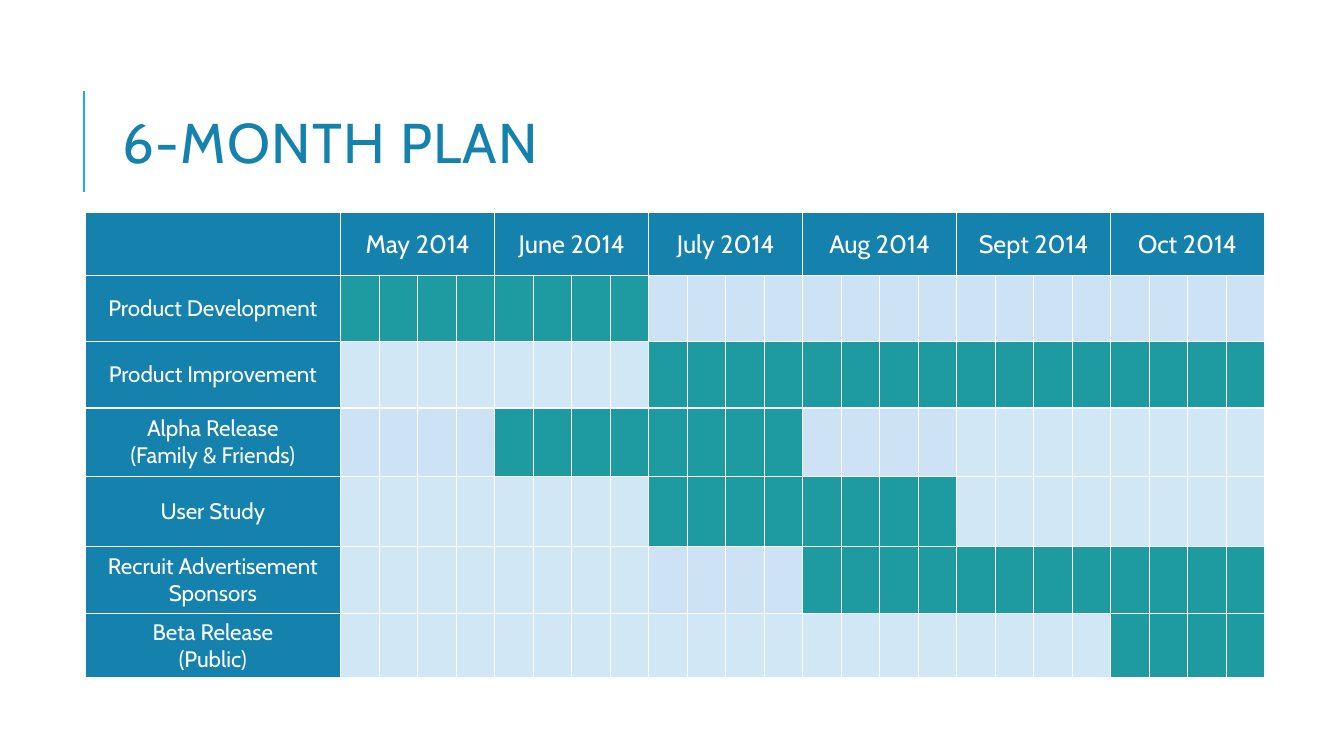
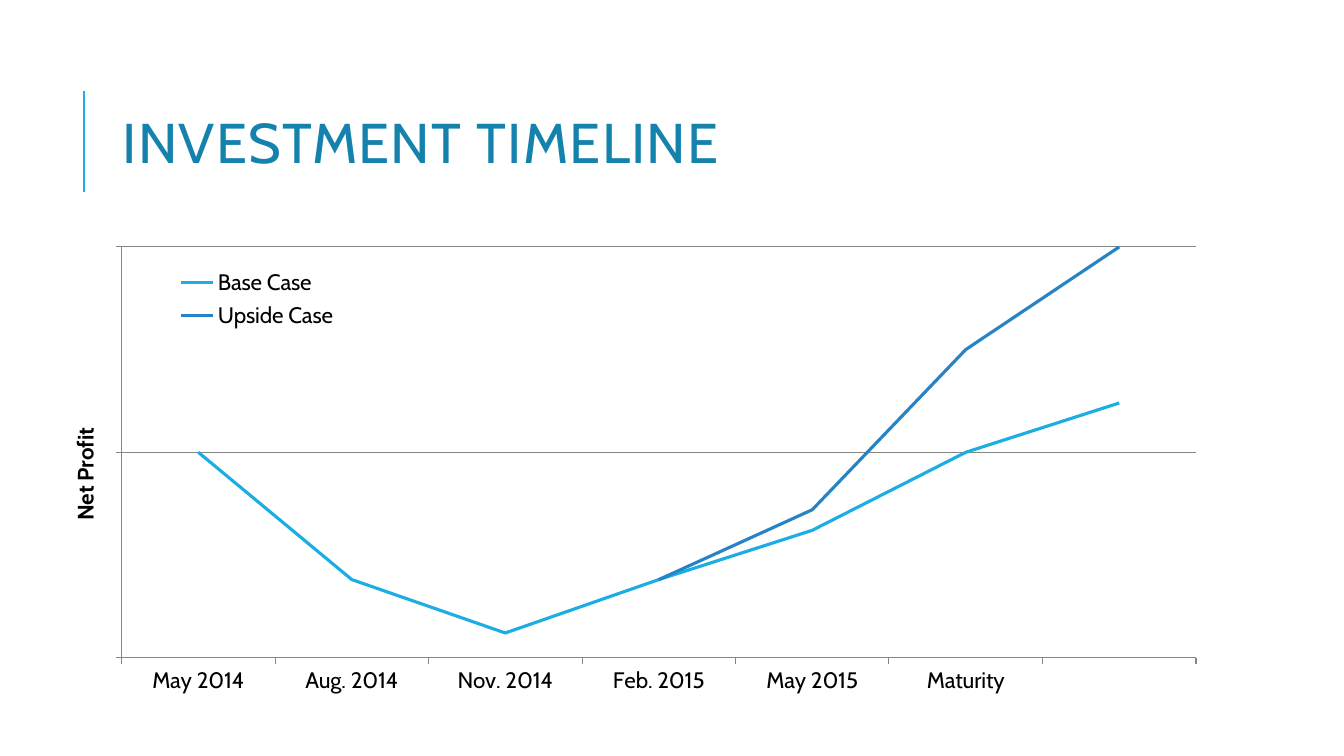
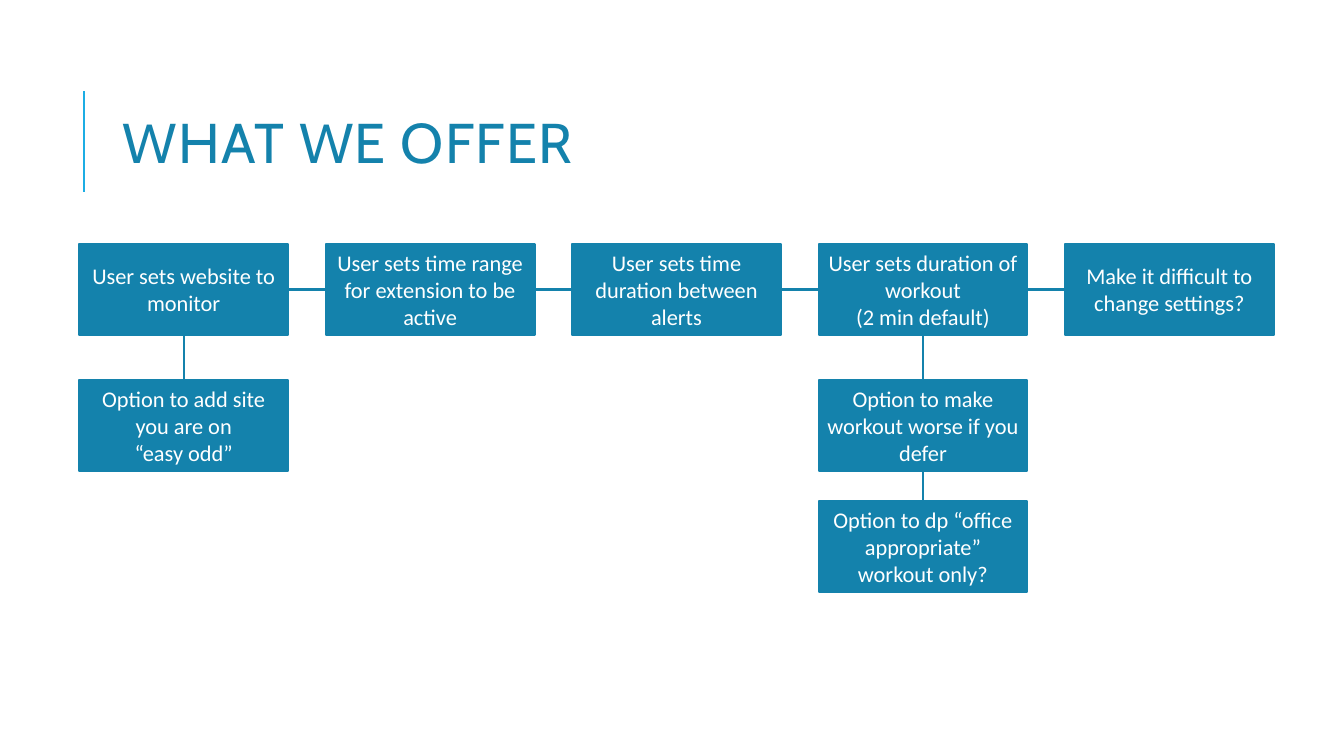
from dataclasses import dataclass
from itertools import pairwise

from lxml.etree import SubElement
from pptx import Presentation
from pptx.chart.data import CategoryChartData
from pptx.dml.color import RGBColor
from pptx.enum.chart import XL_CHART_TYPE as ChartType
from pptx.enum.chart import XL_LEGEND_POSITION as LegendPosition
from pptx.enum.chart import XL_TICK_LABEL_POSITION as LabelPosition
from pptx.enum.chart import XL_TICK_MARK as TickMark
from pptx.enum.shapes import MSO_CONNECTOR as Connector
from pptx.enum.shapes import MSO_SHAPE as Shape
from pptx.enum.text import MSO_ANCHOR as Anchor
from pptx.enum.text import PP_ALIGN as Align
from pptx.oxml.ns import qn
from pptx.util import Cm, Pt


@dataclass(frozen=True)
class Theme:
    """Colours, fonts and type sizes of the deck."""
    main: str = "1482AC"
    accent: str = "1CADE4"
    upside: str = "2683C6"
    busy: str = "1D9BA1"
    shade: str = "CDE3F5"
    light: str = "D1E7F6"
    grid: str = "868686"
    white: str = "FFFFFF"
    black: str = "000000"
    display: str = "Cabin"
    body: str = "Calibri"
    title_size: int = 40
    head_size: int = 18
    text_size: int = 16
    rule: float = 1.5
    border: float = 1


@dataclass(frozen=True)
class Box:
    """A region of a slide, in centimetres."""
    left: float
    top: float
    width: float
    height: float

    def lengths(self):
        """Return the four sides as lengths."""
        return Cm(self.left), Cm(self.top), Cm(self.width), Cm(self.height)


THEME = Theme()
TITLE_BOX = Box(2.84, 1.63, 30.1, 4.17)
PLAN_BOX = Box(2.14, 5.36, 29.74, 11.86)
CHART_BOX = Box(1.37, 5.79, 29.21, 13.97)
FLOW_BOX = Box(2, 6.15, 30.1, 8.76)

MONTHS = ["May 2014", "June 2014", "July 2014", "Aug 2014", "Sept 2014", "Oct 2014"]
WEEKS = 4
MONTH_FILLS = {"X": THEME.busy, "S": THEME.shade, "L": THEME.light}
TASKS = [
    ("Product Development", "XXSSSS"),
    ("Product Improvement", "LLXXXX"),
    ("Alpha Release\v(Family & Friends)", "SXXSLL"),
    ("User Study", "LLXXLL"),
    ("Recruit Advertisement Sponsors", "LLSXXX"),
    ("Beta Release\v(Public)", "LLLLLX"),
]
LABEL_WIDTH = 6.45
PLAN_ROWS = [1.58, 1.67, 1.67, 1.73, 1.76, 1.69, 1.55]

DATES = ["May 2014", "Aug. 2014", "Nov. 2014", "Feb. 2015", "May 2015", "Maturity", ""]
CASES = [
    ("Base Case", [50, 19, 6, 19, 31, 50, 62], THEME.accent),
    ("Upside Case", [None, None, None, 19, 36, 75, 100], THEME.upside),
]

FLOW_COLUMNS = [
    ["User sets website to monitor", "Option to add site you are on\n“easy odd”"],
    ["User sets time range for extension to be active"],
    ["User sets time duration between alerts"],
    ["User sets duration of workout\n(2 min default)",
     "Option to make workout worse if you defer",
     "Option to dp “office appropriate” workout only?"],
    ["Make it difficult to change settings?"],
]
STEP_WIDTH, STEP_HEIGHT = 5.26, 2.29
STEP_TOPS = [0, 3.43, 6.47]
TOP_SITE, LEFT_SITE, BOTTOM_SITE, RIGHT_SITE = range(4)


def rgb(code):
    """Turn a hex code into a colour."""
    return RGBColor.from_string(code)


def set_font(font, name, size, color, bold=None):
    """Set the face, size and colour of a font."""
    font.name, font.size, font.bold = name, Pt(size), bold
    font.color.rgb = rgb(color)


def set_line(line, color, width):
    """Set a solid line."""
    line.color.rgb = rgb(color)
    line.width = Pt(width)


def write_centred(frame, text, name, size):
    """Fill a text frame with centred white paragraphs."""
    frame.text = text
    for para in frame.paragraphs:
        para.alignment = Align.CENTER
        set_font(para.font, name, size, THEME.white)


def add_rule(page, color, ends=(0, 0, 0, 0)):
    """Add a straight line without a shadow."""
    rule = page.shapes.add_connector(Connector.STRAIGHT, *map(Cm, ends))
    set_line(rule.line, color, THEME.rule)
    SubElement(rule._element.spPr, qn("a:effectLst"))
    return rule


def add_title(page, box, text):
    """Add the title and the upright rule beside it."""
    rule_left = box.left - 0.73
    add_rule(page, THEME.accent,
             (rule_left, box.top + 3.2, rule_left, box.top + 0.66))
    frame = page.shapes.add_textbox(*box.lengths()).text_frame
    frame.word_wrap = True
    frame.vertical_anchor = Anchor.MIDDLE
    para = frame.paragraphs[0]
    para.line_spacing = 0.8
    set_font(para.font, THEME.display, THEME.title_size, THEME.main)
    span = para.add_run()
    span.text = text
    span._r.get_or_add_rPr().set("spc", "100")


def style_cell(cell, fill):
    """Give a table cell white borders and a fill."""
    cell.vertical_anchor = Anchor.MIDDLE
    properties = cell._tc.get_or_add_tcPr()
    for side in ("lnL", "lnR", "lnT", "lnB"):
        line = SubElement(properties, qn(f"a:{side}"), w=str(Pt(THEME.border)))
        solid = SubElement(line, qn("a:solidFill"))
        SubElement(solid, qn("a:srgbClr"), val=THEME.white)
    cell.fill.solid()
    cell.fill.fore_color.rgb = rgb(fill)


def add_plan(page, box):
    """Add the table of tasks by week."""
    week_count = len(MONTHS) * WEEKS
    table = page.shapes.add_table(len(TASKS) + 1, week_count + 1, *box.lengths()).table
    table.first_row = table.horz_banding = False
    for index, column in enumerate(table.columns):
        week_width = (box.width - LABEL_WIDTH) / week_count
        column.width = Cm(week_width if index else LABEL_WIDTH)
    for row, height in zip(table.rows, PLAN_ROWS):
        row.height = Cm(height)

    fill_rows = [[THEME.main] * len(MONTHS)]
    fill_rows += [[MONTH_FILLS[key] for key in keys] for _, keys in TASKS]
    for row, fills in enumerate(fill_rows):
        style_cell(table.cell(row, 0), THEME.main)
        for week in range(week_count):
            style_cell(table.cell(row, week + 1), fills[week // WEEKS])

    for index, month in enumerate(MONTHS):
        first = index * WEEKS + 1
        head = table.cell(0, first)
        head.merge(table.cell(0, first + WEEKS - 1))
        write_centred(head.text_frame, month, THEME.display, THEME.head_size)
    for row, (task, _) in enumerate(TASKS, 1):
        write_centred(table.cell(row, 0).text_frame, task,
                      THEME.display, THEME.text_size)


def place_part(part, after=None, inner=False, **shares):
    """Place a chart part by shares of the chart's size."""
    for old in part.findall(qn("c:layout")):
        part.remove(old)
    layout = SubElement(part, qn("c:layout"))
    position = 0 if after is None else part.index(part.find(qn(after))) + 1
    part.insert(position, layout)
    manual = SubElement(layout, qn("c:manualLayout"))
    if inner:
        SubElement(manual, qn("c:layoutTarget"), val="inner")
    for mode in ("xMode", "yMode"):
        SubElement(manual, qn(f"c:{mode}"), val="edge")
    for side, share in shares.items():
        SubElement(manual, qn(f"c:{side}"), val=str(share))


def style_axes(chart):
    """Style both axes and name the value axis."""
    dates, profit = chart.category_axis, chart.value_axis
    for axis in (dates, profit):
        axis.major_tick_mark = TickMark.OUTSIDE
        axis.minor_tick_mark = TickMark.NONE
        set_line(axis.format.line, THEME.grid, 0.75)
    set_font(dates.tick_labels.font, THEME.display, THEME.text_size, THEME.black)
    dates.has_major_gridlines = False
    profit.minimum_scale, profit.maximum_scale, profit.major_unit = 0, 100, 50
    profit.tick_label_position = LabelPosition.NONE
    profit.has_major_gridlines = True
    set_line(profit.major_gridlines.format.line, THEME.grid, 0.75)
    name = profit.axis_title
    name.text_frame.text = "Net Profit"
    set_font(name.text_frame.paragraphs[0].font, THEME.display,
             THEME.text_size, THEME.black, bold=True)
    place_part(name._element, after="c:tx", x=0.01, y=0.35)


def add_profit_chart(page, box):
    """Add the line chart of both cases."""
    data = CategoryChartData()
    data.categories = DATES
    for name, values, _ in CASES:
        data.add_series(name, values)
    chart = page.shapes.add_chart(ChartType.LINE, *box.lengths(), data).chart
    chart.has_title = False
    set_font(chart.font, THEME.body, THEME.head_size, THEME.black)
    plot = chart.plots[0]
    plot.vary_by_categories = False
    for series, (_, _, color) in zip(plot.series, CASES):
        series.smooth = False
        set_line(series.format.line, color, 2.25)
    style_axes(chart)
    place_part(chart._chartSpace.chart.plotArea, inner=True,
               x=0.058, y=0.031, w=0.927, h=0.741)
    chart.has_legend = True
    legend = chart.legend
    legend.position = LegendPosition.RIGHT
    legend.include_in_layout = False
    set_font(legend.font, THEME.display, THEME.text_size, THEME.black)
    place_part(legend._element, after="c:legendPos", x=0.1, y=0.06, w=0.15, h=0.13)


def add_step(page, box, text):
    """Add one step of the flow."""
    step = page.shapes.add_shape(Shape.FLOWCHART_PROCESS, *box.lengths())
    step.shadow.inherit = False
    step.fill.solid()
    step.fill.fore_color.rgb = rgb(THEME.main)
    set_line(step.line, THEME.main, THEME.rule)
    frame = step.text_frame
    frame.word_wrap = True
    frame.vertical_anchor = Anchor.MIDDLE
    frame.margin_left = frame.margin_right = Cm(0.2)
    write_centred(frame, text, THEME.body, THEME.text_size)
    return step


def join_steps(page, steps, leave, enter):
    """Join each step to the next one."""
    for start, end in pairwise(steps):
        link = add_rule(page, THEME.main)
        link.begin_connect(start, leave)
        link.end_connect(end, enter)


def add_flow(page, box):
    """Add the row of steps with their options below."""
    pitch = (box.width - STEP_WIDTH) / (len(FLOW_COLUMNS) - 1)
    columns = [
        [add_step(page, Box(box.left + index * pitch, box.top + top,
                            STEP_WIDTH, STEP_HEIGHT), text)
         for top, text in zip(STEP_TOPS, texts)]
        for index, texts in enumerate(FLOW_COLUMNS)
    ]
    join_steps(page, [column[0] for column in columns], RIGHT_SITE, LEFT_SITE)
    for column in columns:
        join_steps(page, column, BOTTOM_SITE, TOP_SITE)


def main():
    """Build and save the deck."""
    deck = Presentation()
    deck.slide_width, deck.slide_height = Cm(33.87), Cm(19.05)
    blank = deck.slide_layouts[6]
    for title, add_content, box in (
        ("6-MONTH PLAN", add_plan, PLAN_BOX),
        ("INVESTMENT TIMELINE", add_profit_chart, CHART_BOX),
        ("WHAT WE OFFER", add_flow, FLOW_BOX),
    ):
        page = deck.slides.add_slide(blank)
        add_title(page, TITLE_BOX, title)
        add_content(page, box)
    deck.save("out.pptx")


main()
